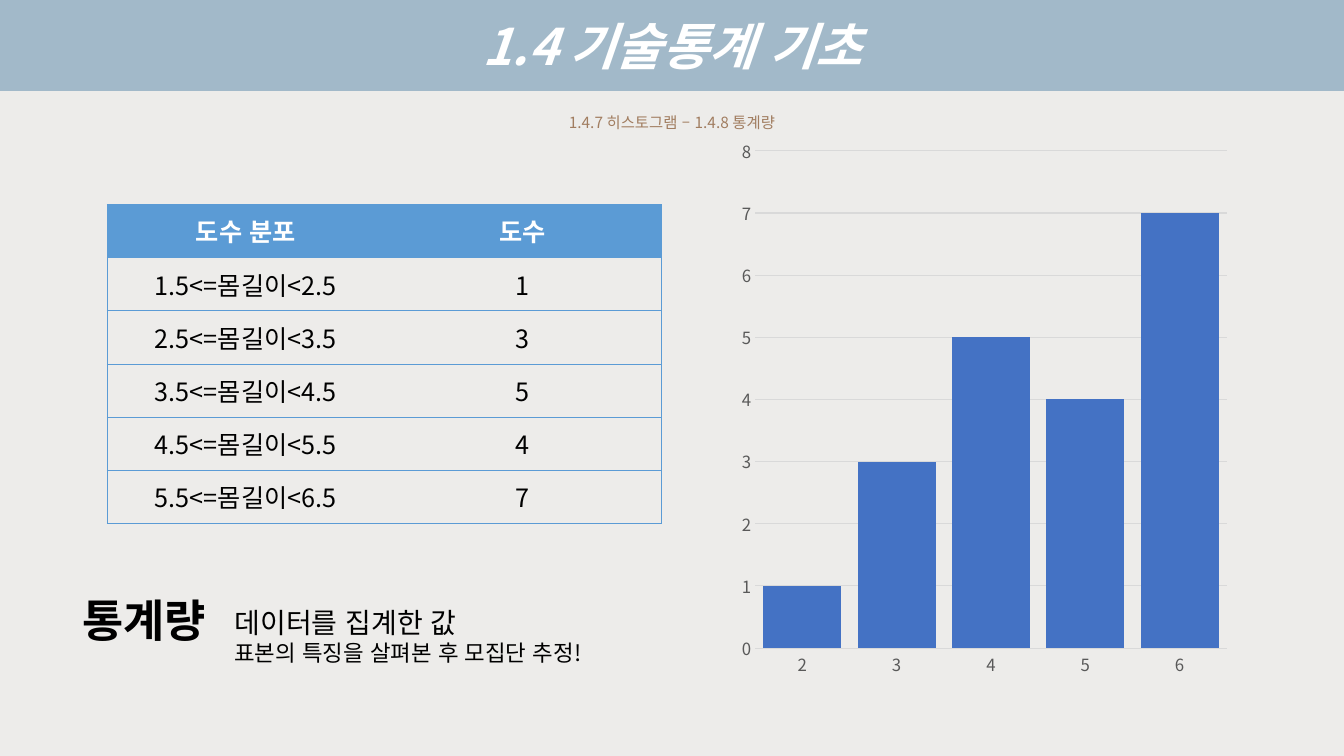
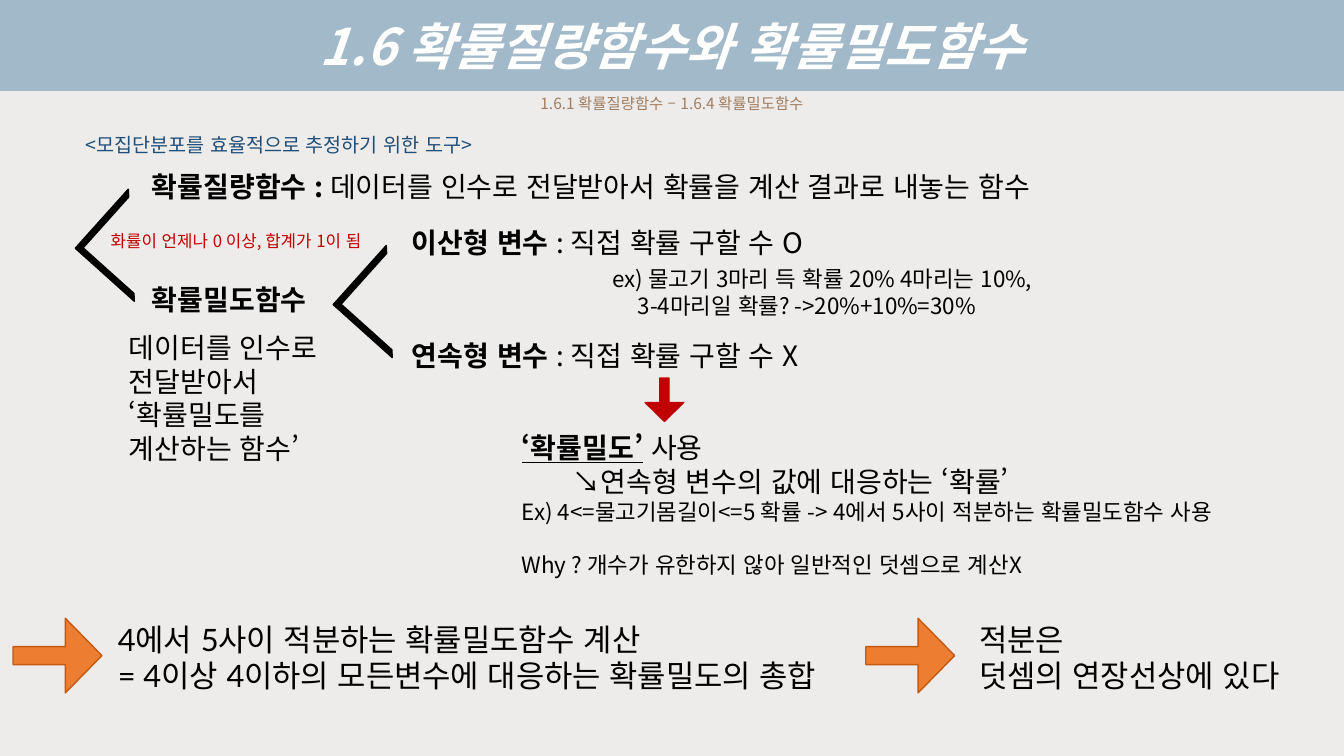
from dataclasses import dataclass

from lxml import etree
from pptx import Presentation
from pptx.chart.data import CategoryChartData
from pptx.dml.color import RGBColor
from pptx.enum.chart import XL_CHART_TYPE, XL_TICK_MARK
from pptx.enum.lang import MSO_LANGUAGE_ID
from pptx.enum.shapes import MSO_SHAPE
from pptx.enum.text import MSO_ANCHOR, PP_ALIGN
from pptx.oxml.ns import qn
from pptx.util import Cm, Pt

COLUMNS = XL_CHART_TYPE.COLUMN_CLUSTERED
NO_TICK = XL_TICK_MARK.NONE
HALF_FRAME = MSO_SHAPE.HALF_FRAME
DOWN_ARROW = MSO_SHAPE.DOWN_ARROW
MIDDLE = MSO_ANCHOR.MIDDLE
LEFT, CENTER = PP_ALIGN.LEFT, PP_ALIGN.CENTER
KOREAN = MSO_LANGUAGE_ID.KOREAN

SLIDE_WIDTH, SLIDE_HEIGHT = 33.87, 19.05
BODY_FONT, SUMMARY_FONT = "Noto Sans CJK KR", "Lato"
PAGE, BAND = "EDECEA", "A2B9C9"
WHITE, BLACK, BROWN, NAVY, RED = "FFFFFF", "000000", "A17D60", "1F4E79", "C00000"
TABLE_BLUE, BAR_BLUE = "5B9BD5", "4472C4"
ORANGE, ORANGE_EDGE = "ED7D31", "C55A11"
AXIS_TEXT, GRID = "595959", "D9D9D9"
LINE_HEIGHT = 1.2


@dataclass
class Run:
    text: str
    size: int = 20
    color: str = BLACK
    bold: bool = False
    italic: bool = False
    underline: bool = False
    font: str = BODY_FONT


@dataclass
class Para:
    runs: list
    before: float = 0
    indent: float = 0


def rgb(color):
    return RGBColor.from_string(color)


def lengths(*values):
    return [Cm(value) for value in values]


def set_font(font, name, size, color):
    font.name, font.size = name, Pt(size)
    font.color.rgb = rgb(color)


def add_run(paragraph, part):
    run = paragraph.add_run()
    run.text = part.text
    set_font(run.font, part.font, part.size, part.color)
    run.font.bold, run.font.italic = part.bold, part.italic
    run.font.underline = part.underline
    run.font.language_id = KOREAN
    east_asian = etree.Element(qn("a:ea"), typeface=BODY_FONT)
    run.font._element.find(qn("a:latin")).addnext(east_asian)


def add_text(slide, box, paras, align=LEFT):
    frame = slide.shapes.add_textbox(*lengths(*box)).text_frame
    frame.word_wrap = True
    frame.margin_top = Cm(0.13)
    for index, para in enumerate(paras):
        paragraph = frame.add_paragraph() if index else frame.paragraphs[0]
        paragraph.alignment = align
        paragraph.space_before = Pt(para.before)
        largest = max(part.size for part in para.runs)
        paragraph.line_spacing = Pt(round(LINE_HEIGHT * largest, 1))
        if para.indent:
            paragraph._p.get_or_add_pPr().set("marL", str(Cm(para.indent)))
        for part in para.runs:
            add_run(paragraph, part)


def add_heading(slide, title, subtitle, gap):
    width = 18.9
    add_text(slide, ((SLIDE_WIDTH - width) / 2, 0.25, width, 2.9), [
        Para([Run(title, 36, WHITE, bold=True, italic=True)]),
        Para([Run(subtitle, 11, BROWN)], before=gap),
    ], CENTER)


def add_solid(slide, kind, box, adjustments, fill, edge, rotation=0):
    shape = slide.shapes.add_shape(kind, *lengths(*box))
    shape.shadow.inherit = False
    shape.rotation = rotation
    for index, value in enumerate(adjustments):
        shape.adjustments[index] = value
    shape.fill.solid()
    shape.fill.fore_color.rgb = rgb(fill)
    shape.line.color.rgb = rgb(edge)
    shape.line.width = Pt(1)


def add_branch(slide, left, top):
    """Draw an angle that opens to the right towards two terms."""
    add_solid(slide, HALF_FRAME, (left, top, 2, 2), (0.07, 0.07), BLACK, BLACK, 311.9)


def add_arrow(slide, box, fill, edge, rotation=0):
    add_solid(slide, DOWN_ARROW, box, (0.24, 0.49), fill, edge, rotation)


def set_borders(cell, sides):
    properties = cell._tc.get_or_add_tcPr()
    for side in "LRTB":
        line = etree.SubElement(properties, qn(f"a:ln{side}"), w=str(Pt(0.5)))
        if side in sides:
            fill = etree.SubElement(line, qn("a:solidFill"))
            etree.SubElement(fill, qn("a:srgbClr"), val=TABLE_BLUE)
        else:
            etree.SubElement(line, qn("a:noFill"))


def add_frequency_table(slide, rows):
    width, row_height = 13.97, 1.34
    box = lengths(2.7, 5.15, width, row_height * len(rows))
    table = slide.shapes.add_table(len(rows), 2, *box).table
    table.horz_banding = False
    for column in table.columns:
        column.width = Cm(width / 2)
    for row_index, texts in enumerate(rows):
        table.rows[row_index].height = Cm(row_height)
        header = row_index == 0
        for column_index, text in enumerate(texts):
            cell = table.cell(row_index, column_index)
            set_borders(cell, "TB" + "LR"[column_index])
            if header:
                cell.fill.solid()
                cell.fill.fore_color.rgb = rgb(TABLE_BLUE)
            else:
                cell.fill.background()
            cell.vertical_anchor = MIDDLE
            paragraph = cell.text_frame.paragraphs[0]
            paragraph.alignment = CENTER
            add_run(paragraph, Run(text, 18, WHITE if header else BLACK, bold=header))


def add_histogram(slide, body_lengths, counts):
    data = CategoryChartData()
    data.categories = body_lengths
    data.add_series("도수", counts)
    box = lengths(18.44, 3.2, 12.73, 14.15)
    chart = slide.shapes.add_chart(COLUMNS, *box, data).chart
    chart.has_legend = chart.has_title = False
    set_font(chart.font, BODY_FONT, 10, BLACK)
    plot = chart.plots[0]
    plot.gap_width, plot.overlap = 21, -27
    plot.vary_by_categories = False
    bars = plot.series[0].format.fill
    bars.solid()
    bars.fore_color.rgb = rgb(BAR_BLUE)
    category_axis, value_axis = chart.category_axis, chart.value_axis
    for axis in (category_axis, value_axis):
        axis.major_tick_mark = axis.minor_tick_mark = NO_TICK
        set_font(axis.tick_labels.font, BODY_FONT, 12, AXIS_TEXT)
    value_axis.minimum_scale, value_axis.maximum_scale = 0, 8
    value_axis.major_unit = 1
    value_axis.format.line.fill.background()
    for line in (category_axis.format.line, value_axis.major_gridlines.format.line):
        line.color.rgb = rgb(GRID)
        line.width = Pt(0.75)


def set_background(master):
    """Fill the page, with a band across the top, by a sharp colour step."""
    fill = master.background.fill
    fill.gradient()
    fill.gradient_angle = 90
    for stop, color in zip(fill.gradient_stops, (PAGE, BAND)):
        stop.position = 0.88
        stop.color.rgb = rgb(color)


def build_statistics(slide):
    add_heading(slide, "1.4 기술통계 기초", "1.4.7 히스토그램 – 1.4.8 통계량", 27)
    counts = (1, 3, 5, 4, 7)
    classes = [(f"{low}.5<=몸길이<{low + 1}.5", str(count))
               for low, count in enumerate(counts, 1)]
    add_frequency_table(slide, [("도수 분포", "도수")] + classes)
    add_histogram(slide, ["2", "3", "4", "5", "6"], counts)
    add_text(slide, (5.66, 15.14, 12, 1.8), [
        Para([Run("데이터를 집계한 값")]),
        Para([Run("표본의 특징을 살펴본 후 모집단 추정!", 16)]),
    ])
    add_text(slide, (1.83, 14.81, 3.8, 1.63), [Para([Run("통계량", 32, bold=True)])])


def build_functions(slide):
    add_heading(slide, "1.6 확률질량함수와 확률밀도함수",
                "1.6.1 확률질량함수 – 1.6.4 확률밀도함수", 13)
    add_text(slide, (1.9, 3.23, 20, 0.86),
             [Para([Run("<모집단분포를 효율적으로 추정하기 위한 도구>", 14, NAVY)])])

    add_branch(slide, 2.31, 5.18)
    terms = (
        (3.58, 4.14, "확률질량함수 : ", "데이터를 인수로 전달받아서 확률을 계산 결과로 내놓는 함수"),
        (3.58, 6.98, "확률밀도함수", ""),
        (10.13, 5.56, "이산형 변수 ", ": 직접 확률 구할 수 O"),
        (10.13, 8.41, "연속형 변수 ", ": 직접 확률 구할 수 X"),
    )
    for left, top, term, meaning in terms:
        runs = [Run(term, bold=True)] + ([Run(meaning)] if meaning else [])
        add_text(slide, (left, top, SLIDE_WIDTH - left, 1.12), [Para(runs)])
    add_branch(slide, 8.81, 6.6)
    add_text(slide, (2.54, 5.69, 9, 0.76),
             [Para([Run("화률이 언제나 0 이상, 합계가 1이 됨", 12, RED)])])
    add_text(slide, (15.18, 6.56, 15, 1.7), [
        Para([Run("ex) 물고기 3마리 득 확률 20% 4마리는 10%,", 16)]),
        Para([Run("3-4마리일 확률? ->20%+10%=30%", 16)], indent=0.64),
    ])
    add_text(slide, (3, 8.2, 6, 3.68), [
        Para([Run("데이터를 인수로 전달받아서")]),
        Para([Run("‘확률밀도를 계산하는 함수’")]),
    ])

    add_arrow(slide, (16.26, 9.53, 0.97, 1.09), RED, RED)
    add_text(slide, (12.9, 10.72, 20.9, 4), [
        Para([Run("‘확률밀도’", bold=True, underline=True), Run(" 사용")]),
        Para([Run("↘연속형 변수의 값에 대응하는 ‘확률’")], indent=1.28),
        Para([Run("Ex) 4<=물고기몸길이<=5 확률 -> 4에서 5사이 적분하는 확률밀도함수 사용", 16)]),
        Para([Run("Why ? 개수가 유한하지 않아 일반적인 덧셈으로 계산X", 16)], before=19),
    ])

    summaries = (
        (0.51, 2.72, 19, ("4에서 5사이 적분하는 확률밀도함수 계산",
                          "= 4이상 4이하의 모든변수에 대응하는 확률밀도의 총합")),
        (22, 24.43, 9.4, ("적분은", "덧셈의 연장선상에 있다")),
    )
    for arrow_left, left, width, lines in summaries:
        add_arrow(slide, (arrow_left, 15.4, 1.88, 2.24), ORANGE, ORANGE_EDGE, 270)
        add_text(slide, (left, 15.5, width, 2.2),
                 [Para([Run(line, 22, font=SUMMARY_FONT)]) for line in lines])


def main():
    prs = Presentation()
    prs.slide_width, prs.slide_height = lengths(SLIDE_WIDTH, SLIDE_HEIGHT)
    set_background(prs.slide_master)
    blank = prs.slide_layouts[6]
    for build in (build_statistics, build_functions):
        build(prs.slides.add_slide(blank))
    prs.save("out.pptx")


if __name__ == "__main__":
    main()
